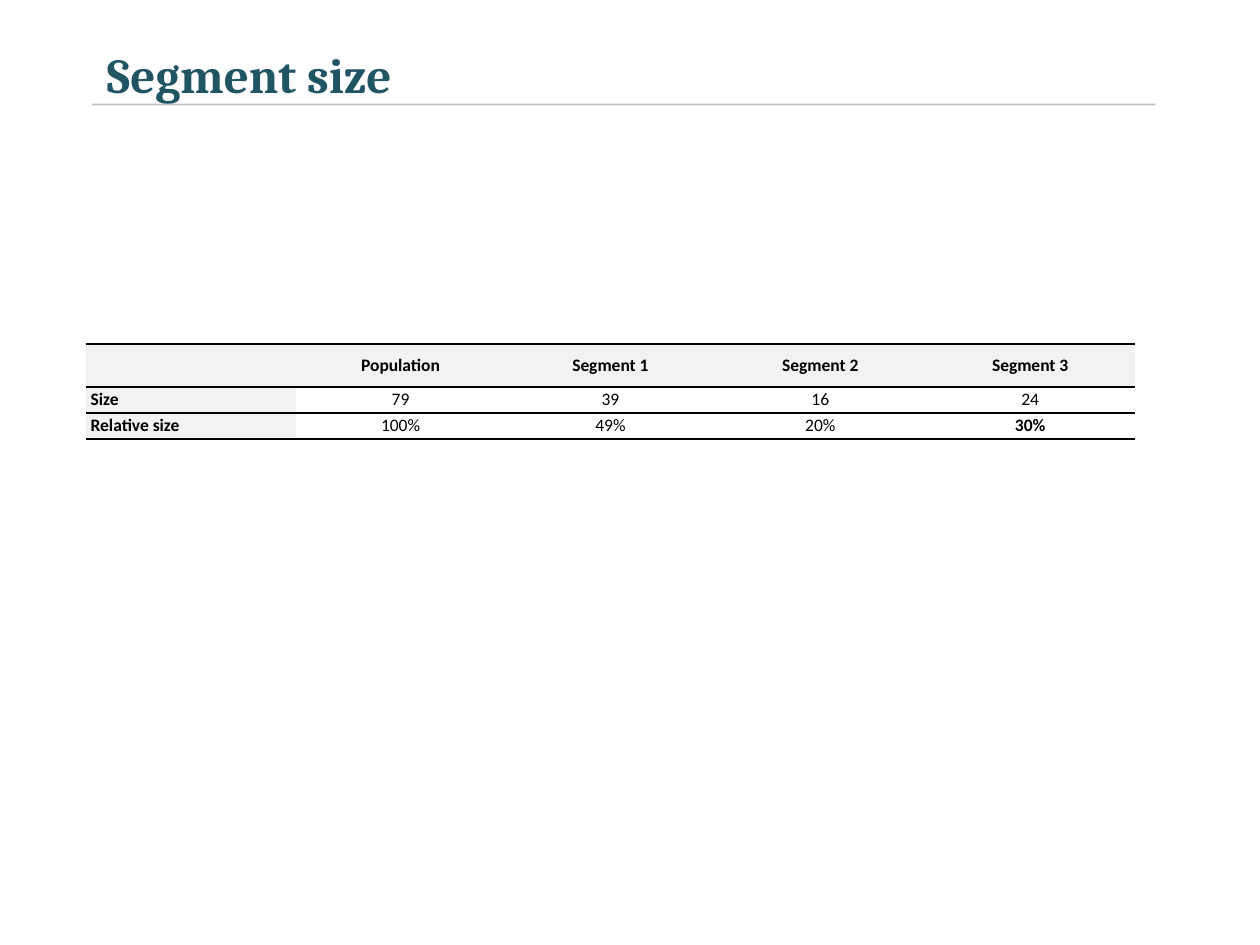
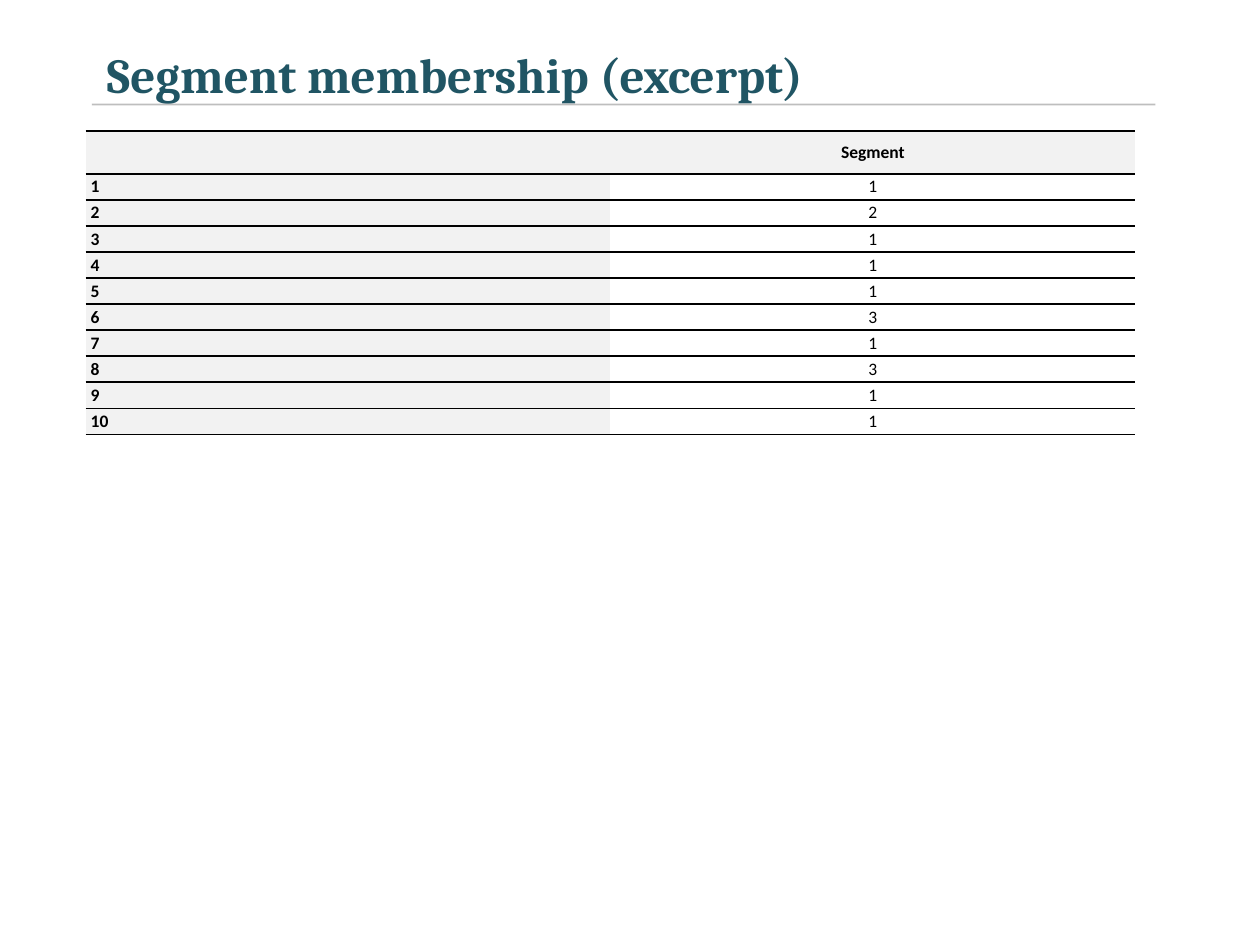
from dataclasses import dataclass

from lxml.etree import SubElement
from pptx import Presentation
from pptx.dml.color import RGBColor
from pptx.enum.shapes import MSO_CONNECTOR as Connector
from pptx.enum.text import MSO_ANCHOR as Anchor, PP_ALIGN as Align
from pptx.oxml import parse_xml
from pptx.oxml.ns import nsdecls, qn
from pptx.slide import Slide
from pptx.table import _Cell as Cell
from pptx.text.text import TextFrame
from pptx.util import Inches, Pt

TEAL = "205564"
GREY = "7F7F7F"
LIGHT = "F2F2F2"
WHITE = "FFFFFF"
BLACK = "000000"
NO_TABLE_STYLE = "{2D5ABB26-0587-4C30-8999-92F81FD0307C}"

TABLE_LEFT = 0.68
TABLE_WIDTH = 8.33
HEADER_HEIGHT = 0.34
ROW_HEIGHT = 0.2


@dataclass(frozen=True)
class SegmentTable:
    title: str
    top: float
    columns: tuple[str, ...]
    rows: tuple[tuple[str, ...], ...]
    bold_cells: frozenset[tuple[int, int]] = frozenset()


MEMBERSHIP = (1, 2, 1, 1, 1, 3, 1, 3, 1, 1)

TABLES = (
    SegmentTable(
        "Segment size",
        2.73,
        ("", "Population", "Segment 1", "Segment 2", "Segment 3"),
        (
            ("Size", "79", "39", "16", "24"),
            ("Relative size", "100%", "49%", "20%", "30%"),
        ),
        frozenset({(2, 4)}),
    ),
    SegmentTable(
        "Segment membership (excerpt)",
        1.04,
        ("", "Segment"),
        tuple((str(member), str(segment)) for member, segment in enumerate(MEMBERSHIP, 1)),
    ),
)


def color(value: str) -> RGBColor:
    return RGBColor.from_string(value)


def write(frame: TextFrame, text: str, *, size: float = 10, font: str = "Calibri",
          fill: str = BLACK, bold: bool = False, align: Align = Align.LEFT) -> None:
    para = frame.paragraphs[0]
    para.alignment = align
    span = para.add_run()
    span.text = text
    span.font.size = Pt(size)
    span.font.name = font
    span.font.bold = bold
    span.font.color.rgb = color(fill)


def add_title(page: Slide, title: str) -> None:
    box = page.shapes.add_textbox(Inches(0.75), 0, Inches(8.33), Inches(0.83))
    frame = box.text_frame
    frame.word_wrap = True
    frame.margin_top = Inches(0.35)
    frame.margin_bottom = 0
    write(frame, title, size=28, font="Cambria", fill=TEAL, bold=True)

    rule = page.shapes.add_connector(
        Connector.STRAIGHT, Inches(0.73), Inches(0.83), Inches(9.17), Inches(0.83))
    rule.line.width = Pt(1)
    rule.line.color.rgb = color(GREY)
    properties = rule.element.spPr
    shade = next(properties.iter(qn("a:srgbClr")))
    SubElement(shade, qn("a:alpha"), val="50000")
    SubElement(properties, qn("a:effectLst"))


def add_borders(cell: Cell) -> None:
    properties = cell._tc.get_or_add_tcPr()
    for position, side in enumerate(("lnT", "lnB")):
        border = parse_xml(
            f'<a:{side} {nsdecls("a")} w="{Pt(1)}"><a:solidFill>'
            f'<a:srgbClr val="{BLACK}"/></a:solidFill></a:{side}>')
        properties.insert(position, border)


def format_cell(cell: Cell, text: str, *, shaded: bool, bold: bool, label: bool) -> None:
    cell.fill.solid()
    cell.fill.fore_color.rgb = color(LIGHT if shaded else WHITE)
    cell.vertical_anchor = Anchor.MIDDLE
    cell.margin_left = Inches(0.04 if label else 0)
    cell.margin_right = Inches(0.02 if label else 0)
    cell.margin_top = cell.margin_bottom = Inches(0.02)
    add_borders(cell)
    if text:
        write(cell.text_frame, text, bold=bold, align=Align.LEFT if label else Align.CENTER)


def add_segment_table(page: Slide, content: SegmentTable) -> None:
    grid = (content.columns, *content.rows)
    height = HEADER_HEIGHT + ROW_HEIGHT * len(content.rows)
    holder = page.shapes.add_table(
        len(grid), len(content.columns), Inches(TABLE_LEFT), Inches(content.top),
        Inches(TABLE_WIDTH), Inches(height))
    table = holder.table
    table.first_row = table.horz_banding = False
    next(holder.element.iter(qn("a:tableStyleId"))).text = NO_TABLE_STYLE
    for column in table.columns:
        column.width = Inches(TABLE_WIDTH / len(content.columns))
    for row_number, texts in enumerate(grid):
        table.rows[row_number].height = Inches(ROW_HEIGHT if row_number else HEADER_HEIGHT)
        for column_number, text in enumerate(texts):
            shaded = row_number == 0 or column_number == 0
            format_cell(
                table.cell(row_number, column_number), text, shaded=shaded,
                bold=shaded or (row_number, column_number) in content.bold_cells,
                label=column_number == 0)


def main() -> None:
    deck = Presentation()
    deck.slide_width = Inches(10)
    deck.slide_height = Inches(7.5)
    for content in TABLES:
        page = deck.slides.add_slide(deck.slide_layouts[6])
        add_title(page, content.title)
        add_segment_table(page, content)
    deck.save("out.pptx")


if __name__ == "__main__":
    main()
